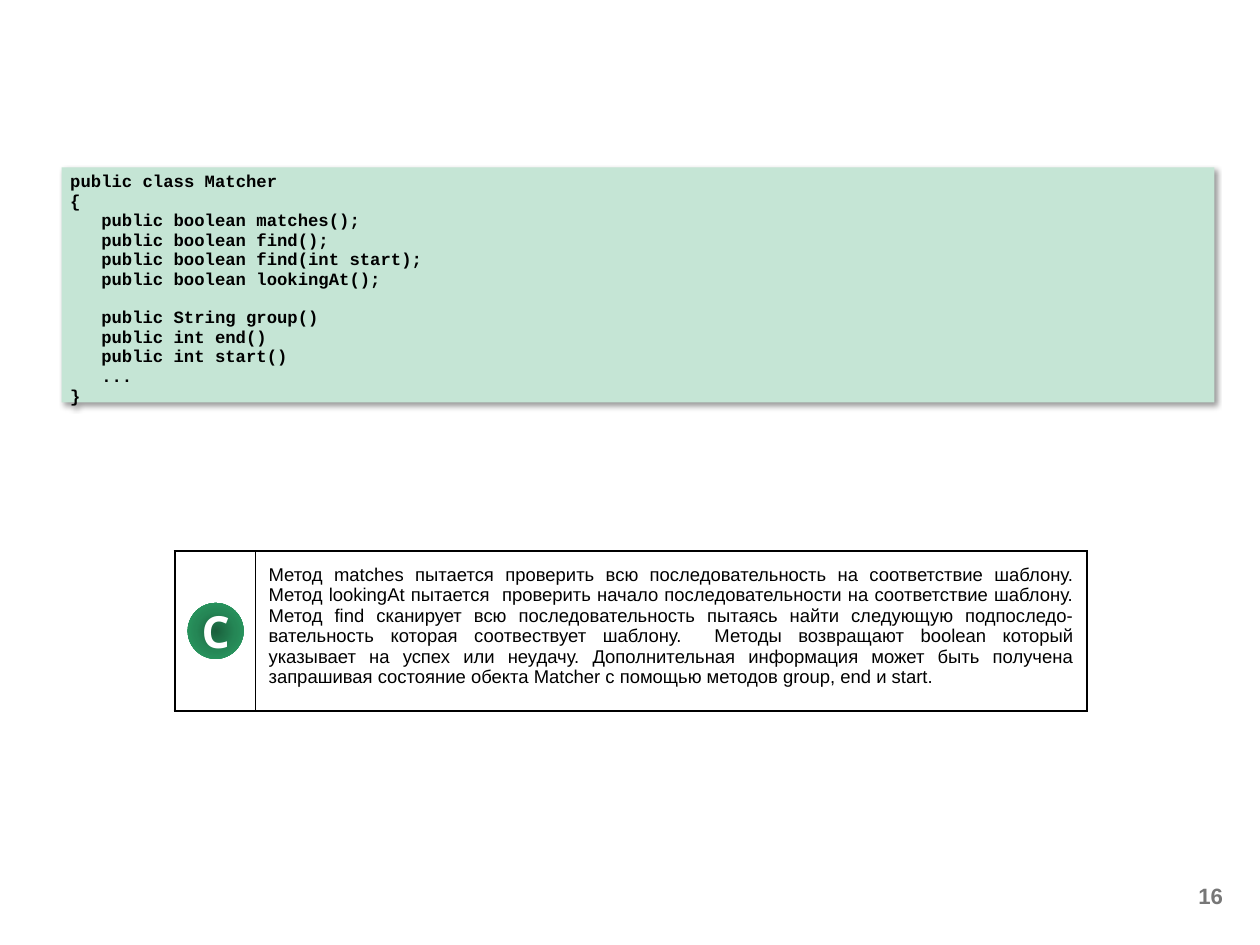
"""Builds the slide on the Matcher class: code panel, explanation table and badge."""
from pptx import Presentation, util as u
from pptx.dml.color import RGBColor
from pptx.enum import shapes, text
from pptx.oxml import parse_xml

Pt = u.Pt
NS = 'xmlns:a="http://schemas.openxmlformats.org/drawingml/2006/main"'


def color(value):
    return RGBColor.from_string(value)


def style(paragraph, font, size, value, bold=False):
    for run in paragraph.runs:
        run.font.name, run.font.size, run.font.bold = font, Pt(size), bold
        run.font.color.rgb = color(value)


prs = Presentation()
prs.slide_width, prs.slide_height = Pt(1024), Pt(768)
slide = prs.slides.add_slide(prs.slide_layouts[6])

page_number = slide.shapes.add_textbox(Pt(762), Pt(709), Pt(239), Pt(38))
page_number.text_frame.word_wrap = True
page_number.text_frame.vertical_anchor = text.MSO_ANCHOR.MIDDLE
page_number.text_frame.text = "16"
page_number.text_frame.paragraphs[0].alignment = text.PP_ALIGN.RIGHT
style(page_number.text_frame.paragraphs[0], "Arial", 18, "777777", True)

code_lines = [
    (0, "public class Matcher"),
    (0, "{"),
    (1, "public boolean matches();"),
    (1, "public boolean find();"),
    (1, "public boolean find(int start);"),
    (1, "public boolean lookingAt();"),
    (1, "public String group()"),
    (1, "public int end()"),
    (1, "public int start()"),
    (1, "..."),
    (0, "}"),
]
code = slide.shapes.add_shape(shapes.MSO_SHAPE.RECTANGLE, Pt(50), Pt(136), Pt(937), Pt(191))
code.fill.solid()
code.fill.fore_color.rgb = color("C5E5D5")
code.line.fill.background()
code._element.spPr.append(parse_xml(
    f'<a:effectLst {NS}><a:outerShdw blurRad="{Pt(4)}" dist="{Pt(3)}" dir="2700000" algn="tl" '
    'rotWithShape="0"><a:srgbClr val="000000"><a:alpha val="40000"/></a:srgbClr>'
    '</a:outerShdw></a:effectLst>'))
code.text_frame.word_wrap = True
code.text_frame.vertical_anchor = text.MSO_ANCHOR.TOP
code.text_frame.text = "\n".join(line for _, line in code_lines)
for paragraph, (level, line) in zip(code.text_frame.paragraphs, code_lines):
    paragraph.alignment = text.PP_ALIGN.LEFT
    paragraph.line_spacing = 0.95
    paragraph._p.get_or_add_pPr().set("marL", str(Pt(25.2 * level)))
    if "group" in line:
        paragraph.space_before = Pt(15)
    style(paragraph, "Courier New", 14, "000000", True)

explanation = (
    "Метод matches пытается проверить всю последовательность на соответствие шаблону. "
    "Метод lookingAt пытается  проверить начало последовательности на соответствие шаблону. "
    "Метод find сканирует всю последовательность пытаясь найти следующую "
    "подпоследо-вательность которая соотвествует шаблону.  Методы возвращают boolean "
    "который указывает на успех или неудачу. Дополнительная информация может быть получена "
    "запрашивая состояние обекта Matcher с помощью методов group, end и start."
)
table = slide.shapes.add_table(1, 2, Pt(142), Pt(448), Pt(741.5), Pt(130)).table
table.first_row = table.horz_banding = False
table.columns[0].width, table.columns[1].width = Pt(65.5), Pt(676)
badge_cell, explanation_cell = table.cell(0, 0), table.cell(0, 1)
for cell, left, right in ((badge_cell, 2.25, 0.5), (explanation_cell, 0.5, 2.25)):
    cell.fill.solid()
    cell.fill.fore_color.rgb = color("FFFFFF")
    borders = (("L", left), ("R", right), ("T", 2.25), ("B", 2.25))
    for position, (side, width) in enumerate(borders):
        cell._tc.get_or_add_tcPr().insert(position, parse_xml(
            f'<a:ln{side} {NS} w="{Pt(width)}"><a:solidFill><a:srgbClr val="000000"/>'
            f'</a:solidFill></a:ln{side}>'))
explanation_cell.margin_left = explanation_cell.margin_right = Pt(10.8)
explanation_cell.margin_top = explanation_cell.margin_bottom = Pt(10.8)
explanation_cell.text_frame.text = explanation
explanation_cell.text_frame.paragraphs[0].alignment = text.PP_ALIGN.JUSTIFY
style(explanation_cell.text_frame.paragraphs[0], "Arial", 15, "000000")

badge = slide.shapes.add_shape(shapes.MSO_SHAPE.OVAL, Pt(152.5), Pt(490), Pt(45.5), Pt(45.5))
badge.shadow.inherit = False
badge.line.fill.background()
stops = "".join(f'<a:gs pos="{place}000"><a:srgbClr val="{value}"/></a:gs>'
                for place, value in ((0, "1A5F3C"), (50, "258756"), (100, "2BA166")))
badge._element.spPr.insert(2, parse_xml(
    f'<a:gradFill {NS} rotWithShape="1"><a:gsLst>{stops}</a:gsLst><a:path path="circle">'
    '<a:fillToRect l="50000" t="50000" r="50000" b="50000"/></a:path></a:gradFill>'))
letter = badge.text_frame
letter.margin_left = letter.margin_right = letter.margin_top = letter.margin_bottom = 0
letter.vertical_anchor = text.MSO_ANCHOR.MIDDLE
letter.text = "C"
letter.paragraphs[0].alignment = text.PP_ALIGN.CENTER
style(letter.paragraphs[0], "Open Sans", 36, "FFFFFF", True)

prs.save("out.pptx")
